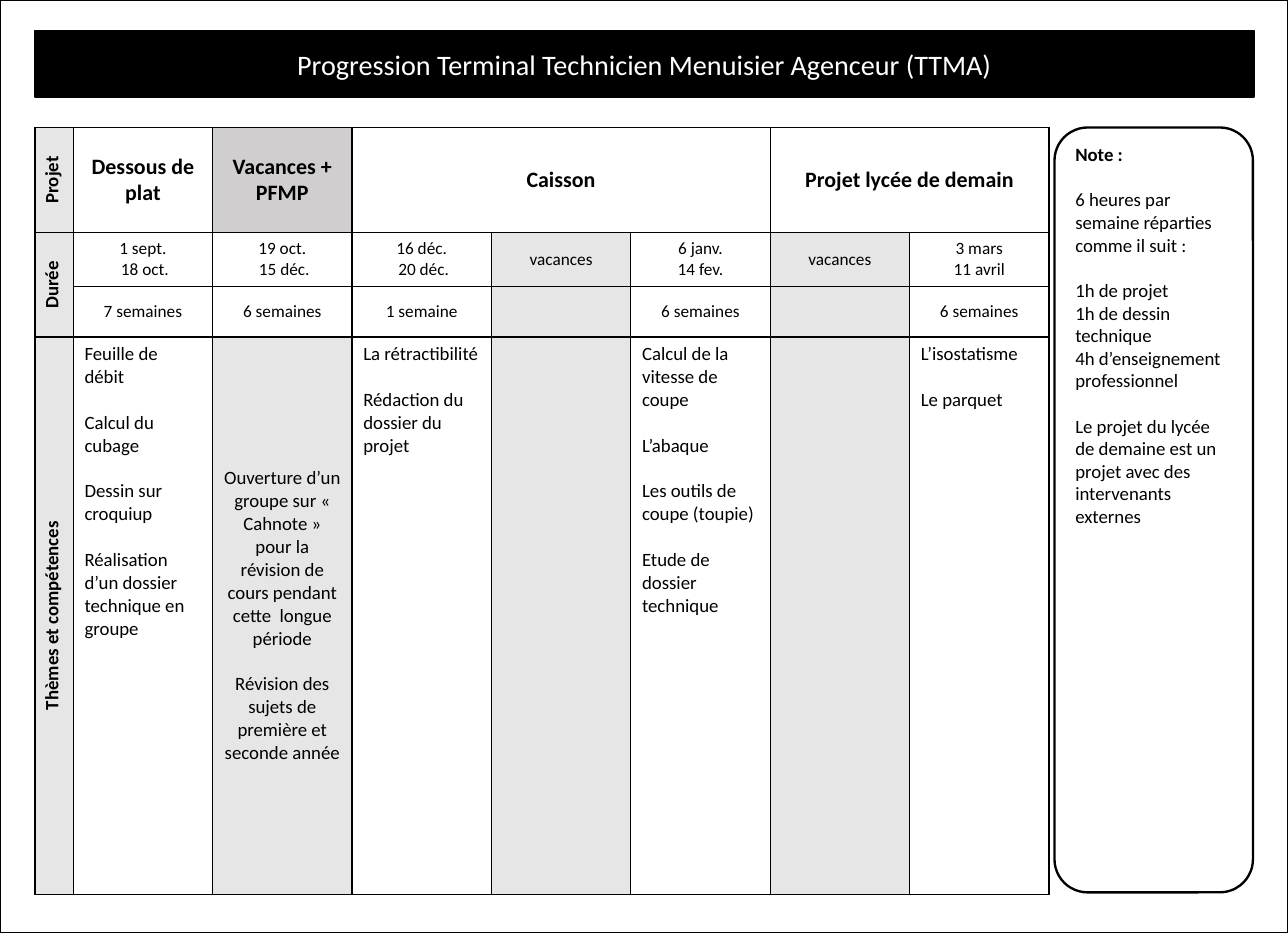
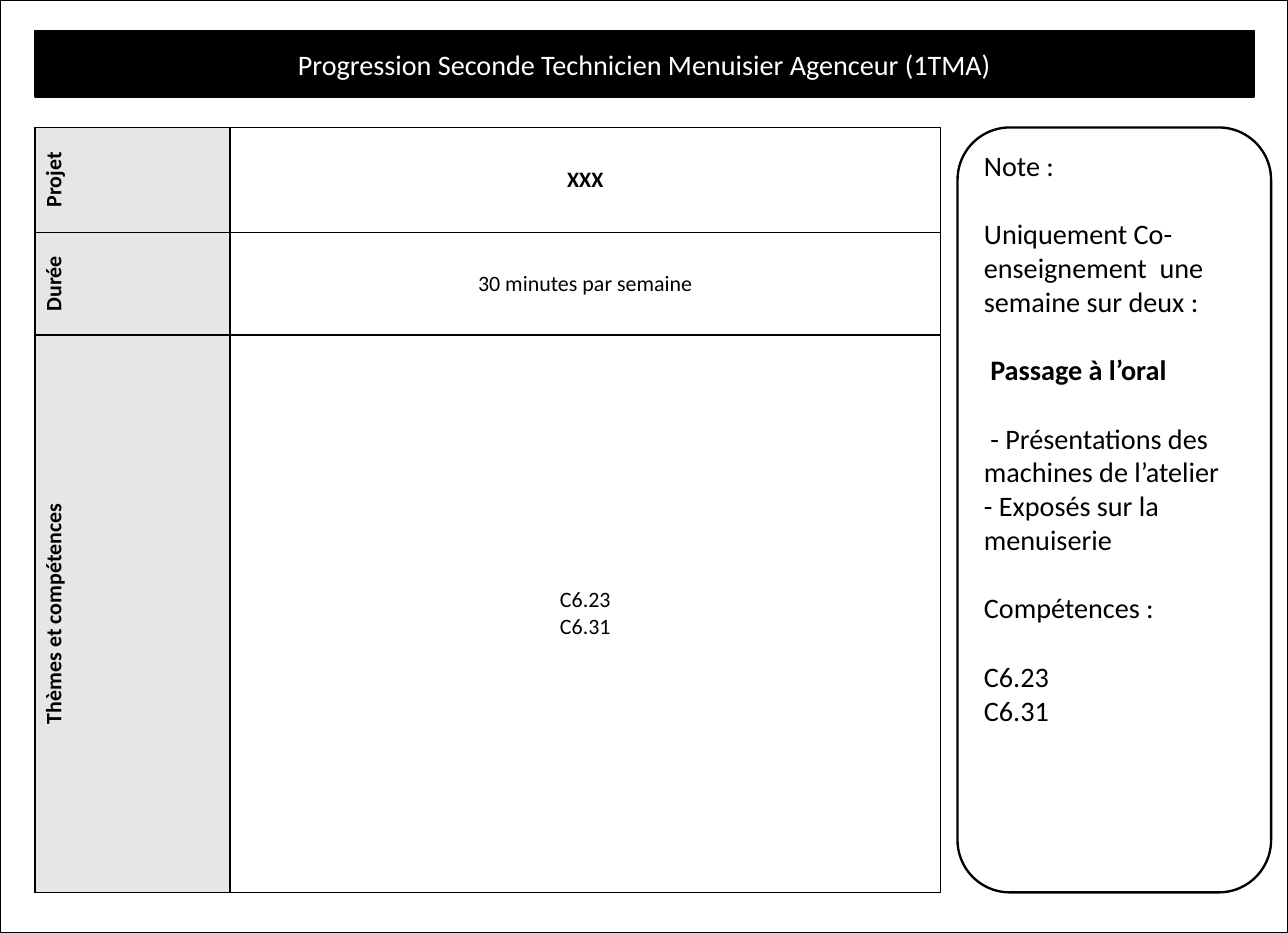
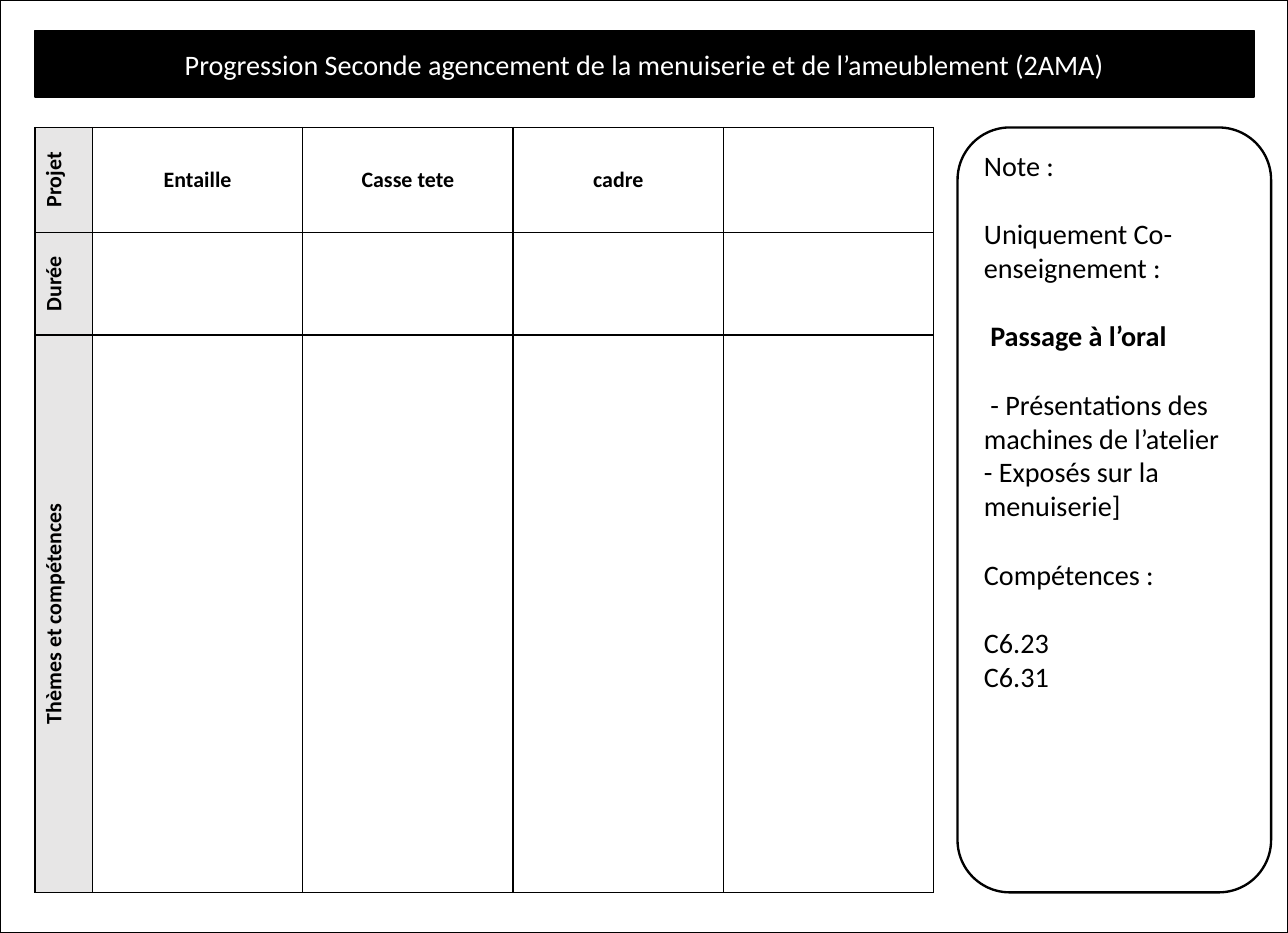
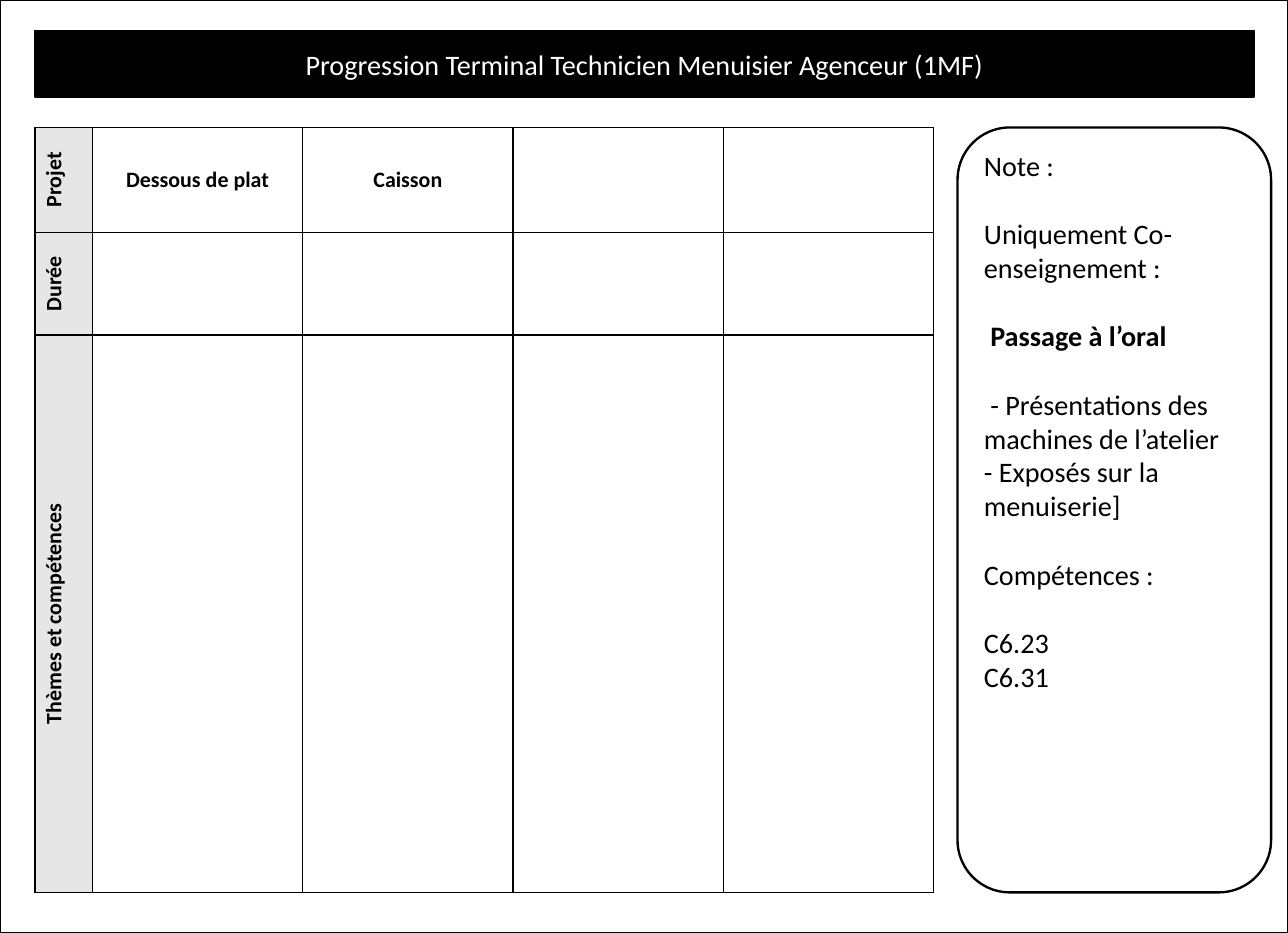
from lxml import etree
from pptx import Presentation
from pptx.dml.color import RGBColor
from pptx.enum import shapes, text
from pptx.oxml import ns
from pptx.util import Inches, Pt

FONT = "Calibri"
COLORS = {"ink": "000000", "paper": "FFFFFF", "grey": "E7E6E6", "dark": "D0CECE"}
WIDTH, HEIGHT = 11.42, 8.27
BAND = (0.31, 0.27, 10.81, 0.59)
LEFT, TOP = 0.31, 1.13
LABELS = ["Projet", "Durée", "Thèmes et compétences"]
LINE = 1.22  # line height of the font, in ems

ORAL = " Passage à l’oral"
SIDE = """Note :

Uniquement Co-enseignement{when} :

{oral}

 - Présentations des machines de l’atelier
- Exposés sur la menuiserie{end}

Compétences :

C6.23
C6.31"""
HOURS = """Note :

6 heures par semaine réparties comme il suit :

1h de projet
1h de dessin technique
4h d’enseignement professionnel

Le projet du lycée de demaine est un projet avec des intervenants externes"""

YEAR = [
    [LABELS[0], "Dessous de plat", "Vacances + PFMP", "Caisson", "", "",
     "Projet lycée de demain", ""],
    [LABELS[1], "1 sept.\n 18 oct.", "19 oct.\n 15 déc.", "16 déc.\n 20 déc.",
     "vacances", "6 janv.\n14 fev.", "vacances", "3 mars\n11 avril"],
    ["", "7 semaines", "6 semaines", "1 semaine", "", "6 semaines", "", "6 semaines"],
    [LABELS[2],
     "Feuille de débit\n\nCalcul du cubage\n\nDessin sur croquiup\n\n"
     "Réalisation d’un dossier technique en groupe",
     "Ouverture d’un groupe sur « Cahnote » pour la révision de cours pendant "
     "cette  longue période\n\nRévision des sujets de première et seconde année",
     "La rétractibilité\n\nRédaction du dossier du projet",
     "",
     "Calcul de la vitesse de coupe\n\nL’abaque\n\nLes outils de coupe (toupie)\n\n"
     "Etude de dossier technique",
     "",
     "L’isostatisme\n\nLe parquet"],
]
BREAKS = {(row, col): "grey" for row in (1, 2, 3) for col in (4, 6)}
BREAKS.update({(0, 2): "dark", (3, 2): "grey"})


def rgb(name):
    return RGBColor.from_string(COLORS[name])


def write(frame, words, size, color="ink", align="CENTER", bold=()):
    """Fill a frame; a blank line in words becomes spacing, lines in bold are bold."""
    first = True
    for block in words.split("\n\n"):
        for num, line in enumerate(block.split("\n")):
            para = frame.paragraphs[0] if first else frame.add_paragraph()
            para.text = line
            para.alignment = getattr(text.PP_ALIGN, align)
            para.space_before = Pt(0 if first or num else round(size * LINE, 1))
            font = para.font
            font.name, font.size, font.bold = FONT, Pt(size), line in bold
            font.color.rgb = rgb(color)
            first = False


def paint(shape, fill, width):
    shape.fill.solid()
    shape.fill.fore_color.rgb = rgb(fill)
    shape.line.color.rgb = rgb("ink")
    shape.line.width = Pt(width)


def start(deck, title):
    """Add a slide with its page frame and title band."""
    slide = deck.slides.add_slide(deck.slide_layouts[5])
    page = slide.shapes.add_shape(
        shapes.MSO_SHAPE.RECTANGLE, 0, 0, deck.slide_width, deck.slide_height)
    page.shadow.inherit = False
    paint(page, "paper", 1)
    band = slide.shapes.title
    band.element.addprevious(page.element)
    band.left, band.top, band.width, band.height = map(Inches, BAND)
    paint(band, "ink", 1)
    frame = band.text_frame
    frame.auto_size = text.MSO_AUTO_SIZE.NONE
    frame.vertical_anchor = text.MSO_ANCHOR.MIDDLE
    write(frame, title, 18, "paper")
    return slide


def note(slide, box, words, size, bold=()):
    card = slide.shapes.add_shape(
        shapes.MSO_SHAPE.ROUNDED_RECTANGLE, *map(Inches, box))
    card.shadow.inherit = False
    paint(card, "paper", 1.5)
    card.text_frame.word_wrap = True
    card.text_frame.vertical_anchor = text.MSO_ANCHOR.TOP
    write(card.text_frame, words, size, align="LEFT", bold=bold)


def edge(cell):
    """Draw the four borders of a cell."""
    props = cell._tc.get_or_add_tcPr()
    for side in ("lnL", "lnR", "lnT", "lnB"):
        line = etree.SubElement(props, ns.qn("a:" + side), w=str(Pt(1)))
        fill = etree.SubElement(line, ns.qn("a:solidFill"))
        etree.SubElement(fill, ns.qn("a:srgbClr"), val=COLORS["ink"])


def grid(slide, cols, rows, cells, sizes, label, shades=(), spans=(), topics=False):
    """Place a table; topics sets unshaded cells of the last row top left."""
    shades = dict(shades)
    box = map(Inches, (LEFT, TOP, sum(cols), sum(rows)))
    table = slide.shapes.add_table(len(rows), len(cols), *box).table
    table.first_row = table.horz_banding = False
    for col, width in zip(table.columns, cols):
        col.width = Inches(width)
    for row, height in zip(table.rows, rows):
        row.height = Inches(height)
    for r, line in enumerate(cells):
        for c, words in enumerate(line):
            cell = table.cell(r, c)
            edge(cell)
            cell.fill.solid()
            shade = shades.get((r, c), "paper" if c else "grey")
            cell.fill.fore_color.rgb = rgb(shade)
            listed = topics and r == len(rows) - 1 and c and shade == "paper"
            cell.vertical_anchor = text.MSO_ANCHOR.TOP if listed else text.MSO_ANCHOR.MIDDLE
            if not c:
                cell._tc.get_or_add_tcPr().set("vert", "vert270")
            if words:
                strong = r == 0 or c == 0
                write(cell.text_frame, words, sizes[r] if c else label,
                      align="LEFT" if listed else "CENTER",
                      bold=(words,) if strong else ())
    for first, last in spans:
        table.cell(*first).merge(table.cell(*last))


def year(deck):
    slide = start(deck, "Progression Terminal Technicien Menuisier Agenceur (TTMA)")
    grid(slide, [0.34] + [1.236] * 7, [0.93, 0.45, 0.45, 4.94], YEAR,
         [14, 11, 11, 12], 12, BREAKS,
         [((0, 3), (0, 5)), ((0, 6), (0, 7)), ((1, 0), (2, 0))], topics=True)
    note(slide, (9.35, TOP, 1.76, 6.78), HOURS, 12, ("Note :",))


def plan(deck, title, cols, body, when="", end="]"):
    """Slide with three rows and the shared teaching note."""
    slide = start(deck, title)
    cells = [[name] + line for name, line in zip(LABELS, body)]
    grid(slide, cols, [0.93, 0.91, 4.94], cells, [14] * 3, 14)
    words = SIDE.format(when=when, oral=ORAL, end=end)
    note(slide, (8.49, TOP, 2.78, 6.78), words, 18, (ORAL,))


def main():
    deck = Presentation()
    deck.slide_width, deck.slide_height = Inches(WIDTH), Inches(HEIGHT)
    year(deck)
    plan(deck, "Progression Seconde Technicien Menuisier Agenceur (1TMA)",
         [1.73, 6.3], [["XXX"], ["30 minutes par semaine"], ["C6.23\nC6.31"]],
         "  une semaine sur deux", "")
    four, blank = [0.51] + [1.865] * 4, [""] * 4
    for title, names in (
        ("Progression Seconde agencement de la menuiserie et de l’ameublement (2AMA)",
         ["Entaille", "Casse tete", "cadre", ""]),
        ("Progression Terminal Technicien Menuisier Agenceur (1MF)",
         ["Dessous de plat", "Caisson", "", ""]),
    ):
        plan(deck, title, four, [names, blank, blank])
    deck.save("out.pptx")


if __name__ == "__main__":
    main()
